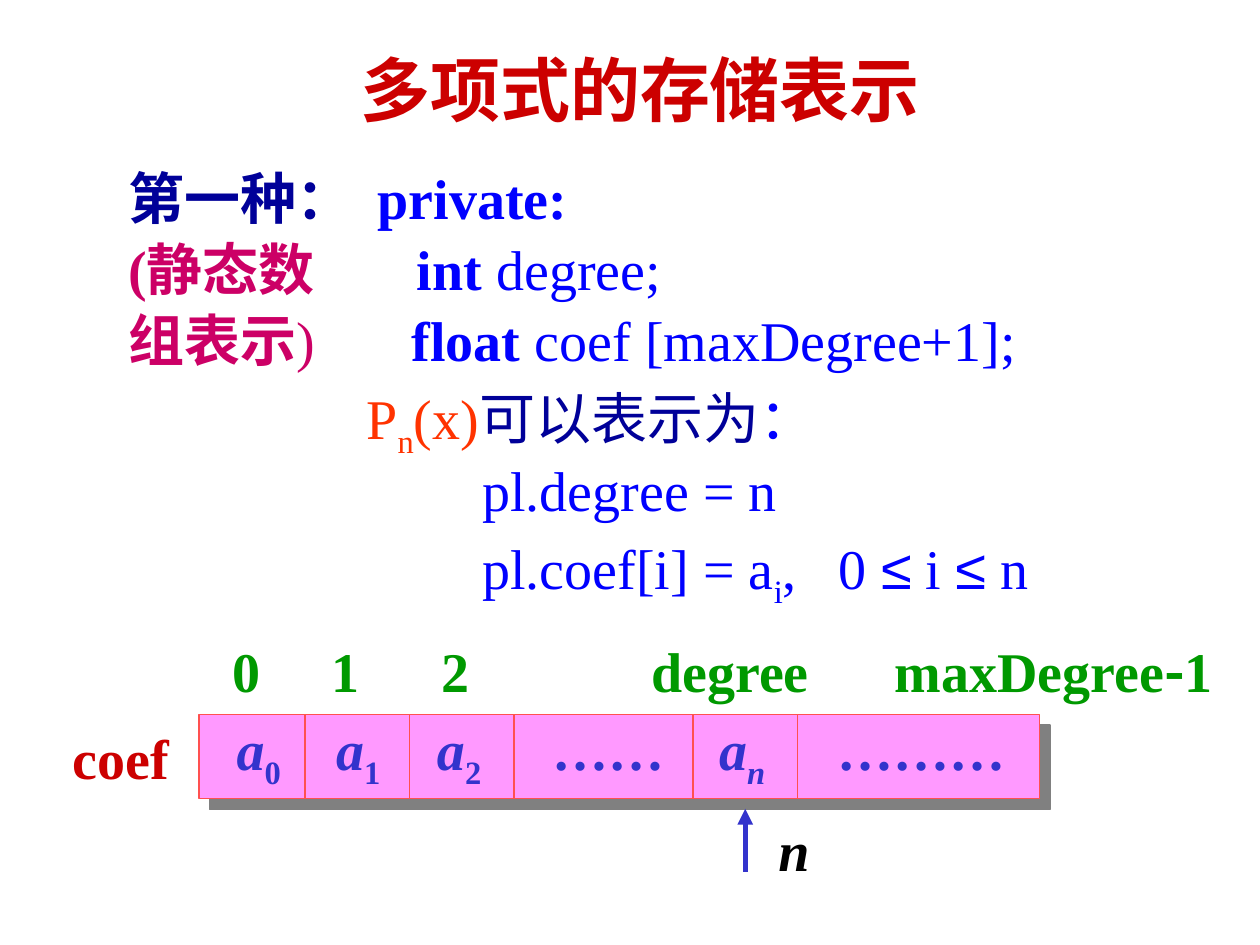
import pptx
import pptx.dml.color
import pptx.enum.shapes
import pptx.enum.text
import pptx.oxml
import pptx.oxml.ns
import pptx.util
from lxml import etree

Inches, Pt = pptx.util.Inches, pptx.util.Pt
qn = pptx.oxml.ns.qn
LATIN, CJK, SANS = "Times New Roman", "Noto Sans CJK SC", "Arial"
RED, NAVY, BLUE, PINK, ORANGE = "CC0000", "000099", "0000FF", "CC0066", "FF3300"
GREEN, INDIGO, BORDER, BLACK = "009900", "3333CC", "FF5050", "000000"

# The array: cell edges across, top and height of the row
EDGES = [1.58, 2.42, 3.25, 4.08, 5.5, 6.33, 8.25]
ROW_TOP, ROW_HEIGHT = 5.67, 0.67


def rgb(value):
    return pptx.dml.color.RGBColor.from_string(value)


def add_runs(paragraph, pieces, base):
    """Each piece is (text, changes to the base format)."""
    for text, changes in pieces:
        run = paragraph.add_run()
        run.text = text
        style = {"size": Pt(32), "name": LATIN, **base, **changes}
        color = style.pop("color")
        subscript = style.pop("sub", False)
        for key, value in style.items():
            setattr(run.font, key, value)
        run.font.color.rgb = rgb(color)
        props = run.font._element
        etree.SubElement(props, qn("a:ea")).set("typeface", CJK)
        if subscript:
            props.set("baseline", "-25000")


def set_tabs(paragraph, stops):
    tabs = etree.SubElement(paragraph._p.get_or_add_pPr(), qn("a:tabLst"))
    for stop in stops:
        tab = etree.SubElement(tabs, qn("a:tab"))
        tab.set("pos", str(Inches(stop)))
        tab.set("algn", "l")


def add_text(slide, box, lines, base):
    """Each line is (tab stops, pieces)."""
    frame = slide.shapes.add_textbox(*map(Inches, box)).text_frame
    frame.word_wrap = True
    for number, (stops, pieces) in enumerate(lines):
        paragraph = frame.add_paragraph() if number else frame.paragraphs[0]
        if stops:
            set_tabs(paragraph, stops)
        add_runs(paragraph, pieces, base)
    return frame


def add_line(slide, start, end, color, width, arrow=False):
    line = slide.shapes.add_connector(
        pptx.enum.shapes.MSO_CONNECTOR.STRAIGHT, *map(Inches, start + end))
    line.line.color.rgb = rgb(color)
    line.line.width = Pt(width)
    if arrow:
        etree.SubElement(line.line._get_or_add_ln(), qn("a:tailEnd")).set("type", "triangle")
    etree.SubElement(line._element.spPr, qn("a:effectLst"))


def add_title(slide, text):
    title = slide.shapes.title
    place = {"left": 1.83, "top": 0.33, "width": 6.5, "height": 0.75}
    for key, value in place.items():
        setattr(title, key, Inches(value))
    title.text_frame.vertical_anchor = pptx.enum.text.MSO_ANCHOR.MIDDLE
    paragraph = title.text_frame.paragraphs[0]
    paragraph.alignment = pptx.enum.text.PP_ALIGN.CENTER
    add_runs(paragraph, [(text, {})], {"size": Pt(40), "bold": True, "color": RED})


def add_declaration(slide):
    bold, sub = {"bold": True}, {"sub": True}
    frame = add_text(slide, (0.92, 1.33, 8.5, 3.92), [
        ([1.98], [("第一种：", {"color": NAVY, **bold}), ("\tprivate:", bold)]),
        ([2.29], [("(静态数", {"color": PINK, **bold}), ("\tint ", bold), ("degree;", {})]),
        ([2.25], [("组表示", {"color": PINK, **bold}), (")", {"color": PINK}),
                  ("\tfloat", bold), (" coef [maxDegree+1];", {})]),
        ([1.89], [("\tP", {"color": ORANGE}), ("n", {"color": ORANGE, **sub}),
                  ("(x)", {"color": ORANGE}), ("可以表示为", {"color": NAVY}), ("：", {})]),
        ([2.81], [("\tpl.degree = n", {})]),
        ([2.81, 5.64], [("\tpl.coef[i] = a", {}), ("i", sub), (",\t0 ", {}),
                        ("≤", {"name": SANS}), (" i ", {}), ("≤", {"name": SANS}), (" n", {})]),
    ], {"color": BLUE, "bold": False})
    for paragraph in frame.paragraphs:
        paragraph.line_spacing = 0.85
        paragraph.space_before = Pt(8)


def add_array_bar(slide):
    bar = slide.shapes.add_shape(
        pptx.enum.shapes.MSO_SHAPE.RECTANGLE, Inches(EDGES[0]), Inches(ROW_TOP),
        Inches(EDGES[-1] - EDGES[0]), Inches(ROW_HEIGHT))
    bar.fill.solid()
    bar.fill.fore_color.rgb = rgb("FF99FF")
    bar.line.color.rgb = rgb(BORDER)
    bar.line.width = Pt(0.75)
    # Hard grey shadow towards the lower right
    bar.shadow.inherit = False
    effects = bar._element.spPr.find(qn("a:effectLst"))
    shadow = etree.SubElement(effects, qn("a:outerShdw"))
    for key, value in {"blurRad": 0, "dist": Pt(8.5), "dir": 45 * 60000,
                       "algn": "ctr", "rotWithShape": 0}.items():
        shadow.set(key, str(value))
    etree.SubElement(shadow, qn("a:srgbClr")).set("val", "808080")


def add_array(slide):
    add_array_bar(slide)
    # Cell contents, one tab stop per cell
    sub, italic = {"sub": True}, {"italic": True}
    cells = []
    for index in range(3):
        cells += [("\ta" if index else "a", italic), (str(index), sub)]
    cells += [("\t……", {}), ("\ta", italic), ("n", {**sub, **italic}), ("\t………", {})]
    add_text(slide, (1.78, 5.62, 6.4, 0.71), [([0.79, 1.59, 2.51, 3.83, 4.77], cells)],
             {"color": INDIGO, "bold": True})
    # Cell dividers
    for edge in EDGES[1:-1]:
        add_line(slide, (edge, ROW_TOP), (edge, ROW_TOP + ROW_HEIGHT), BORDER, 0.75)
    # Indices above and name at the left
    indices = [("0\t1\t2\tdegree\tmaxDegree", {}), ("-", {"name": CJK}), ("1", {})]
    add_text(slide, (1.75, 5, 8.06, 0.64), [([0.78, 1.66, 3.32, 5.25], indices)],
             {"color": GREEN, "bold": True})
    add_text(slide, (0.48, 5.69, 1.1, 0.64), [([], [("coef", {})])],
             {"color": RED, "bold": True})
    # Pointer to the last used cell
    middle = (EDGES[4] + EDGES[5]) / 2
    add_line(slide, (middle, 6.92), (middle, 6.42), INDIGO, 3, arrow=True)
    add_text(slide, (6.08, 6.42, 0.5, 0.64), [([], [("n", italic)])],
             {"color": BLACK, "bold": True})


def main():
    deck = pptx.Presentation()
    deck.slide_width, deck.slide_height = Inches(10), Inches(7.5)
    slide = deck.slides.add_slide(deck.slide_layouts[5])
    add_title(slide, "多项式的存储表示")
    add_declaration(slide)
    add_array(slide)
    deck.save("out.pptx")


if __name__ == "__main__":
    main()
